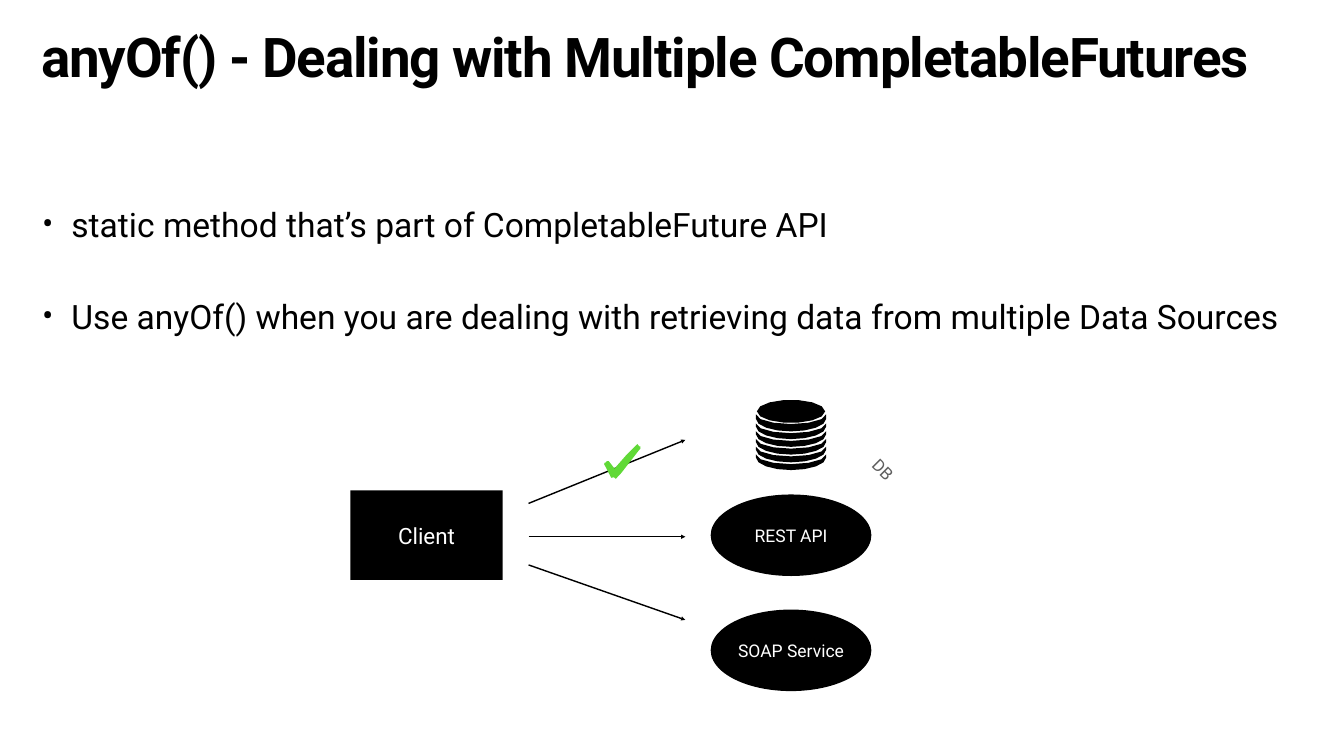
from dataclasses import dataclass
from math import cos, pi, sin

from pptx import Presentation
from pptx.dml.color import RGBColor
from pptx.enum.shapes import MSO_CONNECTOR, MSO_SHAPE
from pptx.enum.text import MSO_ANCHOR, MSO_AUTO_SIZE, PP_ALIGN
from pptx.oxml.ns import qn
from pptx.shapes.base import BaseShape
from pptx.slide import Slide
from pptx.text.text import TextFrame
from pptx.util import Cm, Pt

BLACK = RGBColor(0x00, 0x00, 0x00)
WHITE = RGBColor(0xFF, 0xFF, 0xFF)
GRAY = RGBColor(0x5E, 0x5E, 0x5E)
GREEN = RGBColor(0x60, 0xD9, 0x37)
FONT = "Roboto"

Point = tuple[float, float]


@dataclass
class Node:
    text: str
    kind: MSO_SHAPE
    left: float
    top: float
    width: float
    height: float
    size: float


@dataclass
class Arrow:
    start: Point
    end: Point


TITLE = "anyOf() - Dealing with Multiple CompletableFutures"
BULLETS = [
    "static method that’s part of CompletableFuture API",
    "Use anyOf() when you are dealing with retrieving data from multiple Data Sources",
]
NODES = [
    Node("Client", MSO_SHAPE.RECTANGLE, 17.66, 24.72, 7.68, 4.5, 32),
    Node("REST API", MSO_SHAPE.OVAL, 35.82, 24.92, 8.1, 4.11, 25),
    Node("SOAP Service", MSO_SHAPE.OVAL, 35.82, 30.72, 8.1, 4.11, 25),
]
ARROWS = [
    Arrow((26.64, 25.37), (34.54, 22.17)),
    Arrow((26.64, 28.47), (34.54, 31.24)),
    Arrow((26.64, 27.05), (34.54, 27.05)),
]
CHECK_MARK = [
    (32.13, 22.38), (31.6, 22.9), (31.01, 23.57), (30.99, 23.62), (30.94, 23.57),
    (30.76, 23.34), (30.68, 23.24), (30.56, 23.24), (30.58, 23.29), (30.48, 23.32),
    (30.45, 23.39), (30.73, 23.93), (30.81, 24.08), (30.94, 24.05), (31.04, 24.13),
    (31.32, 23.83), (32.23, 22.66), (32.28, 22.61), (32.28, 22.5), (32.23, 22.5),
    (32.18, 22.45),
]


def format_text(frame: TextFrame, size: float, color: RGBColor,
                align: PP_ALIGN = PP_ALIGN.LEFT, bold: bool = False) -> None:
    frame.margin_left = frame.margin_right = Cm(0.15)
    frame.margin_top = frame.margin_bottom = Cm(0.15)
    for paragraph in frame.paragraphs:
        paragraph.alignment = align
        for run in paragraph.runs:
            run.font.name = FONT
            run.font.size = Pt(size)
            run.font.bold = bold
            run.font.color.rgb = color


def paint(shape: BaseShape, color: RGBColor) -> None:
    shape.shadow.inherit = False
    shape.fill.solid()
    shape.fill.fore_color.rgb = color
    shape.line.fill.background()


def add_title(slide: Slide) -> None:
    title = slide.shapes.title
    title.left, title.top, title.width, title.height = Cm(1.92), Cm(1.63), Cm(64.87), Cm(4.95)
    frame = title.text_frame
    frame.text = TITLE
    frame.auto_size = MSO_AUTO_SIZE.NONE
    frame.vertical_anchor = MSO_ANCHOR.TOP
    format_text(frame, 78.2, BLACK, bold=True)
    paragraph = frame.paragraphs[0]
    paragraph.line_spacing = 0.8
    paragraph.runs[0].font._element.set("spc", "-160")


def add_bullets(slide: Slide) -> None:
    frame = slide.shapes.add_textbox(Cm(1.98), Cm(9.12), Cm(64.77), Cm(27.76)).text_frame
    frame.word_wrap = True
    frame.text = "\n".join(BULLETS)
    format_text(frame, 48, BLACK)
    for paragraph in frame.paragraphs:
        paragraph.line_spacing = 1.5
        paragraph.space_before = Pt(45)
        properties = paragraph._p.get_or_add_pPr()
        properties.set("marL", str(Cm(1.47)))
        properties.set("indent", str(-Cm(1.47)))
        properties.append(properties.makeelement(qn("a:buFont"), {"typeface": FONT}))
        properties.append(properties.makeelement(qn("a:buChar"), {"char": "•"}))


def add_node(slide: Slide, node: Node) -> None:
    shape = slide.shapes.add_shape(
        node.kind, Cm(node.left), Cm(node.top), Cm(node.width), Cm(node.height))
    paint(shape, BLACK)
    frame = shape.text_frame
    frame.text = node.text
    frame.vertical_anchor = MSO_ANCHOR.MIDDLE
    format_text(frame, node.size, WHITE, PP_ALIGN.CENTER)


def add_arrow(slide: Slide, arrow: Arrow) -> None:
    connector = slide.shapes.add_connector(
        MSO_CONNECTOR.STRAIGHT, *map(Cm, arrow.start), *map(Cm, arrow.end))
    connector.line.color.rgb = BLACK
    connector.line.width = Pt(2)
    line = connector.line._get_or_add_ln()
    line.append(line.makeelement(qn("a:tailEnd"), {"type": "triangle"}))
    properties = connector._element.spPr
    properties.append(properties.makeelement(qn("a:effectLst"), {}))


def add_outline(slide: Slide, contours: list[list[Point]], color: RGBColor) -> None:
    """Draw closed contours, given in centimetres, as one filled shape."""
    scaled = [[(Cm(x), Cm(y)) for x, y in contour] for contour in contours]
    builder = slide.shapes.build_freeform(*scaled[0][0])
    builder.add_line_segments(scaled[0][1:])
    for contour in scaled[1:]:
        builder.move_to(*contour[0])
        builder.add_line_segments(contour[1:])
    paint(builder.convert_to_shape(), color)


def arc(center: Point, radius_x: float, radius_y: float,
        start: float, end: float, steps: int) -> list[Point]:
    angles = [start + (end - start) * step / steps for step in range(steps + 1)]
    return [(center[0] + radius_x * cos(a), center[1] + radius_y * sin(a)) for a in angles]


def add_database(slide: Slide) -> None:
    """Draw a disk lid above six curved bands."""
    center_x = 39.87
    contours = [arc((center_x, 20.73), 1.72, 0.58, 0, 2 * pi, 14)[:-1]]
    for index in range(6):
        bottom = 21.11 + 0.39 * index
        top = bottom - (0.16 if index else 0.23)
        contours.append(arc((center_x, bottom), 1.77, 0.63, 0, pi, 8)
                        + arc((center_x, top), 1.77, 0.49, pi, 0, 6))
    add_outline(slide, contours, BLACK)


def add_database_label(slide: Slide) -> None:
    """Write the label along an unstroked diagonal line shape."""
    label = slide.shapes.add_shape(
        MSO_SHAPE.RECTANGLE, Cm(42.75), Cm(21.9), Cm(3.53), Cm(3.53))
    label._element.spPr.find(qn("a:prstGeom")).set("prst", "line")
    label.shadow.inherit = False
    label.fill.background()
    label.line.fill.background()
    frame = label.text_frame
    frame.text = "DB"
    frame.word_wrap = False
    frame.auto_size = MSO_AUTO_SIZE.SHAPE_TO_FIT_TEXT
    frame.vertical_anchor = MSO_ANCHOR.MIDDLE
    format_text(frame, 24, GRAY, PP_ALIGN.CENTER)


def main() -> None:
    presentation = Presentation()
    presentation.slide_width, presentation.slide_height = Cm(67.74), Cm(38.1)
    slide = presentation.slides.add_slide(presentation.slide_layouts[5])
    add_title(slide)
    add_bullets(slide)
    for node in NODES:
        add_node(slide, node)
    add_database(slide)
    add_database_label(slide)
    for arrow in ARROWS:
        add_arrow(slide, arrow)
    add_outline(slide, [CHECK_MARK], GREEN)
    presentation.save("out.pptx")


if __name__ == "__main__":
    main()
